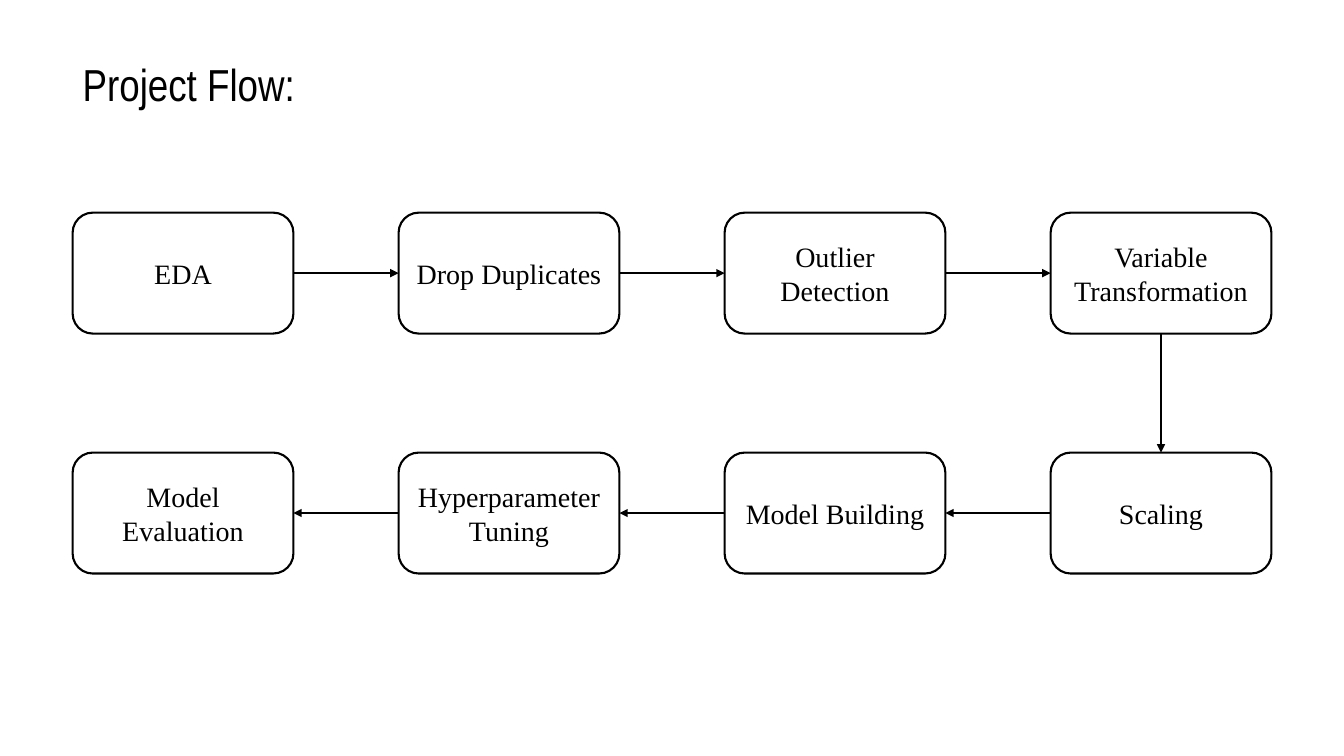
from pptx import Presentation
from pptx.dml.color import RGBColor
from pptx.enum.shapes import MSO_CONNECTOR, MSO_SHAPE
from pptx.enum.text import MSO_ANCHOR, PP_ALIGN
from pptx.oxml.ns import qn
from pptx.util import Inches, Pt
from lxml import etree

TITLE = "Project Flow:"
STEPS = [
    "EDA", "Drop Duplicates", "Outlier Detection", "Variable Transformation",
    "Scaling", "Model Building", "Hyperparameter Tuning", "Model Evaluation",
]

BLACK = RGBColor(0, 0, 0)
ROUNDED = MSO_SHAPE.ROUNDED_RECTANGLE
STRAIGHT = MSO_CONNECTOR.STRAIGHT
LEFT, CENTER = PP_ALIGN.LEFT, PP_ALIGN.CENTER
MIDDLE = MSO_ANCHOR.MIDDLE

COLUMNS = 4
FLOW_LEFT, FLOW_TOP = 0.72, 2.11
STEP_WIDTH, STEP_HEIGHT = 2.19, 1.2
COLUMN_PITCH = (10.42 - FLOW_LEFT) / (COLUMNS - 1)
ROW_PITCH = 2.38
TOP_SITE, LEFT_SITE, BOTTOM_SITE, RIGHT_SITE = range(4)


def format_text(frame, text, font_name, size, alignment):
    frame.text = text
    frame.word_wrap = True
    frame.vertical_anchor = MIDDLE
    paragraph = frame.paragraphs[0]
    paragraph.alignment = alignment
    paragraph.font.name = font_name
    paragraph.font.size = Pt(size)
    paragraph.font.color.rgb = BLACK
    return paragraph


def grid_cell(index):
    row, column = divmod(index, COLUMNS)
    return row, COLUMNS - 1 - column if row % 2 else column


def add_step(slide, index, label):
    row, column = grid_cell(index)
    step = slide.shapes.add_shape(
        ROUNDED,
        Inches(FLOW_LEFT + column * COLUMN_PITCH),
        Inches(FLOW_TOP + row * ROW_PITCH),
        Inches(STEP_WIDTH), Inches(STEP_HEIGHT))
    step.shadow.inherit = False
    step.fill.background()
    step.line.color.rgb = BLACK
    step.line.width = Pt(1.5)
    format_text(step.text_frame, label, "Times New Roman", 20, CENTER)
    return step


def add_arrow(slide, source, target, source_site, target_site):
    arrow = slide.shapes.add_connector(STRAIGHT, 0, 0, 0, 0)
    arrow.begin_connect(source, source_site)
    arrow.end_connect(target, target_site)
    arrow.line.color.rgb = BLACK
    arrow.line.width = Pt(1.5)
    etree.SubElement(arrow.line._get_or_add_ln(), qn("a:tailEnd"), type="triangle")
    etree.SubElement(arrow._element.spPr, qn("a:effectLst"))


def main():
    deck = Presentation()
    deck.slide_width, deck.slide_height = Inches(13.33), Inches(7.5)
    slide = deck.slides.add_slide(deck.slide_layouts[5])

    title = slide.shapes.title
    title.left, title.top = Inches(0.72), Inches(0.4)
    title.width, title.height = Inches(11.5), Inches(0.93)
    heading = format_text(title.text_frame, TITLE, "Arial Narrow", 32, LEFT)
    heading.line_spacing = 0.9

    steps = [add_step(slide, index, label) for index, label in enumerate(STEPS)]
    for index, (source, target) in enumerate(zip(steps, steps[1:])):
        row, _ = grid_cell(index)
        next_row, _ = grid_cell(index + 1)
        if row != next_row:
            sites = BOTTOM_SITE, TOP_SITE
        elif row % 2:
            sites = LEFT_SITE, RIGHT_SITE
        else:
            sites = RIGHT_SITE, LEFT_SITE
        add_arrow(slide, source, target, *sites)

    deck.save("out.pptx")


if __name__ == "__main__":
    main()
